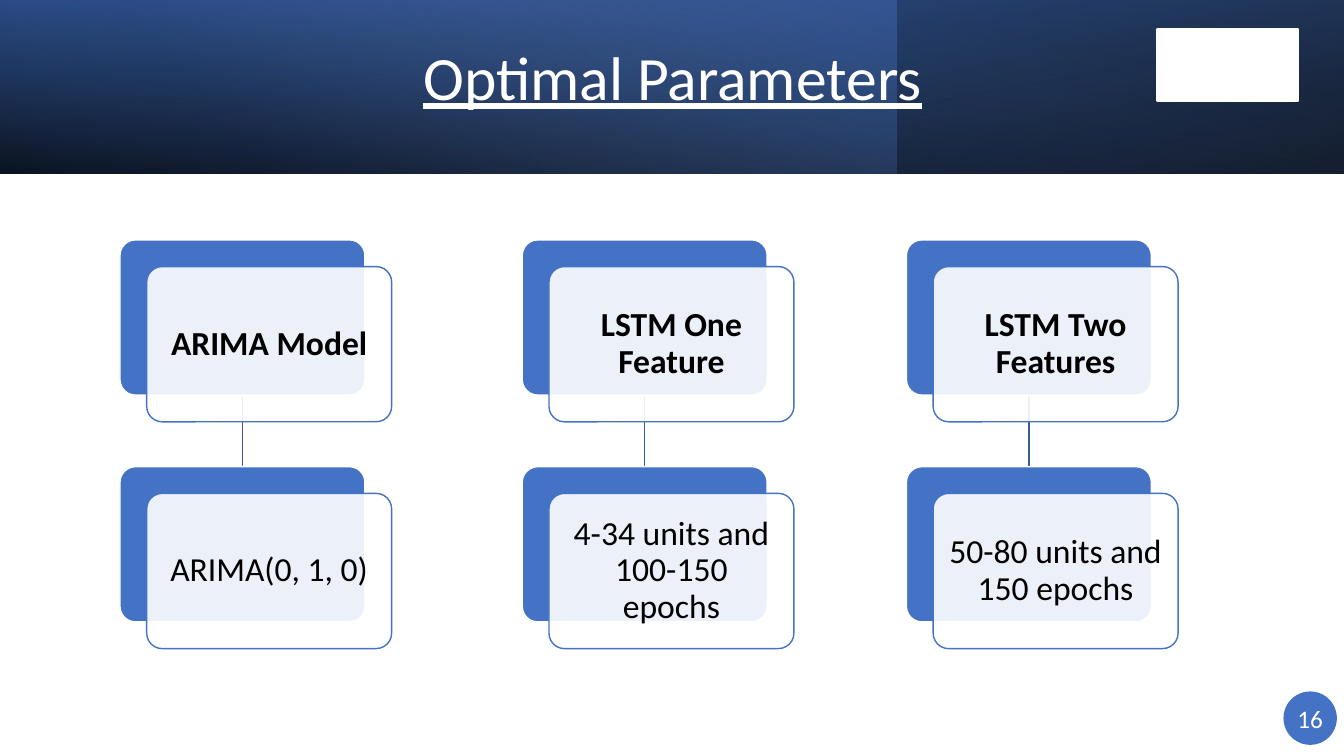
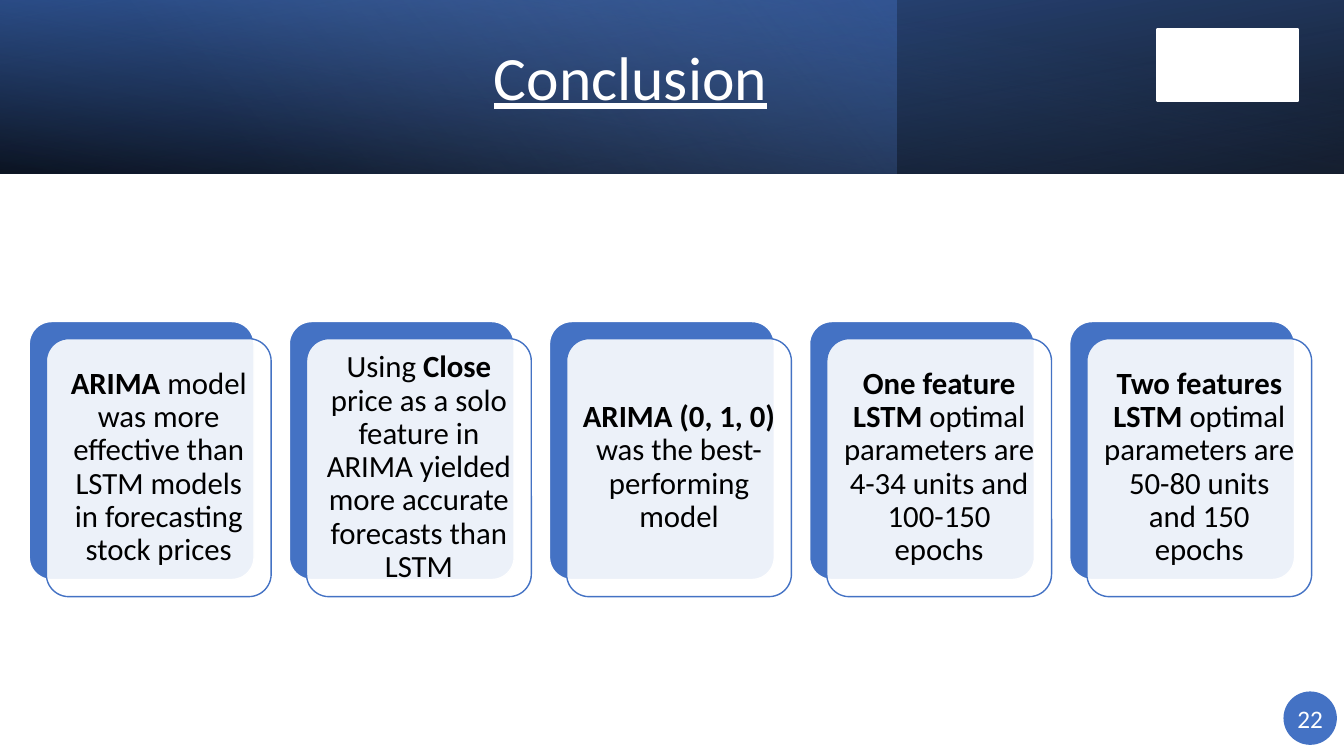
"""Build the optimal parameters and conclusion slides."""
from pptx import Presentation
from pptx.dml.color import RGBColor as RGB
from pptx.enum.shapes import MSO_CONNECTOR as CONN, MSO_SHAPE as SHAPE
from pptx.enum.text import MSO_ANCHOR as ANCHOR, PP_ALIGN as ALIGN
from pptx.oxml import parse_xml
from pptx.oxml.ns import nsdecls, qn
from pptx.util import Inches, Pt

COLORS = {
    "blue": "4472C4",
    "deep": "2F5597",
    "pale": "8FAADC",
    "link": "365B9D",
    "white": "FFFFFF",
    "black": "000000",
}
FONT = "Calibri"
WIDTH, HEIGHT, BAND = 13.33, 7.5, 1.72
BANDS = [
    {"width": WIDTH, "angle": 100, "flip": True, "rotation": 180,
     "stops": [(0, "black", 96), (100, "deep", 100)]},
    {"width": 8.89, "angle": 140, "flip": False, "rotation": 0,
     "stops": [(0, "blue", 41), (74, "pale", 0)]},
    {"width": WIDTH, "angle": 260, "flip": True, "rotation": 0,
     "stops": [(0, "black", 63), (78, "blue", 15)]},
]


class Deck:
    """Holds the shared style and the slide being drawn."""

    def __init__(self):
        self.prs = Presentation()
        self.prs.slide_width = Inches(WIDTH)
        self.prs.slide_height = Inches(HEIGHT)
        self.s = None

    def slide(self, title, title_left, title_width, number):
        self.s = self.prs.slides.add_slide(self.prs.slide_layouts[6])
        for band in BANDS:
            self.band(**band)
        self.title(title, title_left, title_width)
        self.shape(SHAPE.RECTANGLE, 11.48, 0.29, 1.39, 0.71, "white", "white", 1.5)
        self.badge(number)

    def shape(self, kind, x, y, w, h, fill=None, line=None, weight=1):
        sp = self.s.shapes.add_shape(kind, Inches(x), Inches(y), Inches(w), Inches(h))
        sp.shadow.inherit = False
        if fill:
            sp.fill.solid()
            sp.fill.fore_color.rgb = RGB.from_string(COLORS[fill])
        else:
            sp.fill.background()
        if line:
            sp.line.color.rgb = RGB.from_string(COLORS[line])
            sp.line.width = Pt(weight)
        else:
            sp.line.fill.background()
        return sp

    def band(self, width, angle, flip, rotation, stops):
        sp = self.shape(SHAPE.RECTANGLE, 0, 0, width, BAND)
        sp.rotation = rotation
        spPr = sp._element.spPr
        if flip:
            spPr.find(qn("a:xfrm")).set("flipH", "1")
        marks = "".join(
            f'<a:gs pos="{pos * 1000}"><a:srgbClr val="{COLORS[color]}">'
            f'<a:alpha val="{alpha * 1000}"/></a:srgbClr></a:gs>'
            for pos, color, alpha in stops)
        grad = parse_xml(
            f'<a:gradFill {nsdecls("a")} rotWithShape="1"><a:gsLst>{marks}</a:gsLst>'
            f'<a:lin ang="{angle * 60000}" scaled="0"/></a:gradFill>')
        spPr.replace(spPr.find(qn("a:noFill")), grad)

    def text(self, sp, runs, size, color="black", align=ALIGN.CENTER, inset=0.1,
             wrap=True, spacing=0.9, underline=False):
        tf = sp.text_frame
        margins = {f"margin_{side}": Inches(inset)
                   for side in ("left", "top", "right", "bottom")}
        frame = {"word_wrap": wrap, "vertical_anchor": ANCHOR.MIDDLE, **margins}
        for name, value in frame.items():
            setattr(tf, name, value)
        p = tf.paragraphs[0]
        p.alignment, p.line_spacing = align, spacing
        for words, bold in runs:
            r = p.add_run()
            r.text = words
            style = {"name": FONT, "size": Pt(size), "bold": bold, "underline": underline}
            for name, value in style.items():
                setattr(r.font, name, value)
            r.font.color.rgb = RGB.from_string(COLORS[color])

    def title(self, words, x, w):
        sp = self.s.shapes.add_textbox(Inches(x), Inches(0.16), Inches(w), Inches(1.27))
        self.text(sp, [(words, False)], 44, "white", ALIGN.LEFT, underline=True)

    def badge(self, number):
        sp = self.shape(SHAPE.OVAL, 12.73, 6.86, 0.53, 0.53, "blue")
        self.text(sp, [(str(number), False)], 18, "white", inset=0, wrap=False, spacing=1)

    def card(self, x, y, w, h, shift, runs, size, inset):
        back = self.shape(SHAPE.ROUNDED_RECTANGLE, x, y, w, h, "blue", "white")
        front = self.shape(SHAPE.ROUNDED_RECTANGLE, x + shift, y + shift, w, h,
                           "white", "blue")
        for sp in (back, front):
            sp.adjustments[0] = 0.1
        color = front._element.spPr.find(qn("a:solidFill"))[0]
        color.append(parse_xml(f'<a:alpha {nsdecls("a")} val="90000"/>'))
        self.text(front, runs, size, inset=inset)

    def link(self, x, top, bottom):
        c = self.s.shapes.add_connector(
            CONN.STRAIGHT, Inches(x), Inches(top), Inches(x), Inches(bottom))
        c.line.color.rgb = RGB.from_string(COLORS["link"])
        c.line.width = Pt(1)
        c._element.spPr.append(parse_xml(f'<a:effectLst {nsdecls("a")}/>'))


def parameters(deck):
    deck.slide("Optimal Parameters", 4.1, 5.96, 16)
    w, h, top, bottom = 2.43, 1.54, 2.38, 4.63
    models = [
        (1.19, "ARIMA Model", "ARIMA(0, 1, 0)"),
        (5.18, "LSTM One Feature", "4-34 units and 100-150 epochs"),
        (8.99, "LSTM Two Features", "50-80 units and 150 epochs"),
    ]
    for x, model, values in models:
        deck.link(x + w / 2, top + h, bottom)
        for y, words, bold in ((top, model, True), (bottom, values, False)):
            deck.card(x, y, w, h, 0.265, [(words, bold)], 24, 0.1)


def conclusion(deck):
    deck.slide("Conclusion", 4.8, 3.31, 22)
    findings = [
        [("ARIMA", True),
         (" model was more effective than LSTM models in forecasting stock prices", False)],
        [("Using ", False), ("Close", True),
         (" price as a solo feature in ARIMA yielded more accurate forecasts than LSTM",
          False)],
        [("ARIMA (0, 1, 0) ", True), ("was the best-performing model", False)],
        [("One feature LSTM ", True),
         ("optimal parameters are 4-34 units and 100-150 epochs", False)],
        [("Two features LSTM ", True),
         ("optimal parameters are 50-80 units and 150 epochs", False)],
    ]
    for i, runs in enumerate(findings):
        deck.card(0.29 + 2.58 * i, 3.19, 2.23, 2.56, 0.17, runs, 22, 0.09)


def main():
    deck = Deck()
    parameters(deck)
    conclusion(deck)
    deck.prs.save("out.pptx")


if __name__ == "__main__":
    main()
